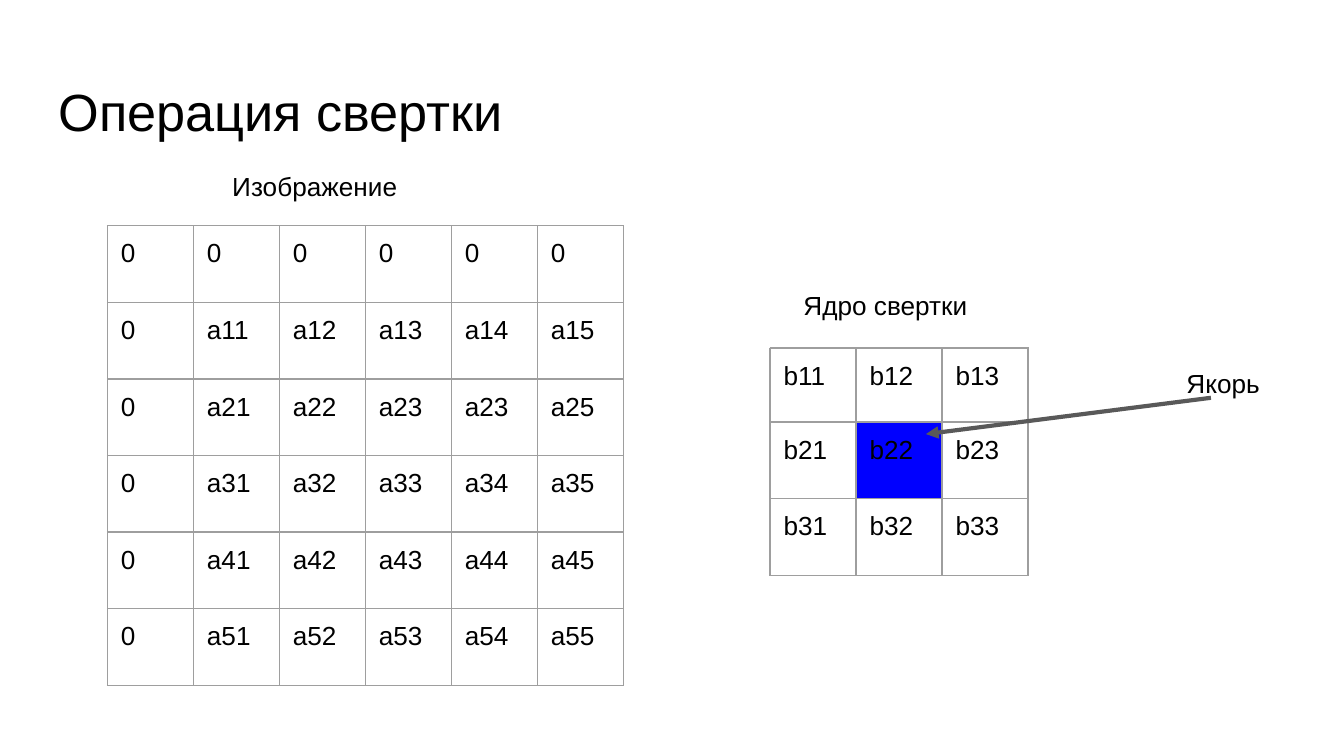
"""Build a slide that shows an image matrix and a convolution kernel with its anchor."""
from dataclasses import dataclass

from lxml import etree
from pptx import Presentation
from pptx.dml.color import RGBColor
from pptx.enum.shapes import MSO_CONNECTOR
from pptx.oxml.ns import qn
from pptx.util import Inches, Pt

STRAIGHT = MSO_CONNECTOR.STRAIGHT
BORDER_TAGS = ("a:lnL", "a:lnR", "a:lnT", "a:lnB")


@dataclass(frozen=True)
class Theme:
    font: str = "Arial"
    text: str = "000000"
    border: str = "9E9E9E"
    anchor: str = "0000FF"
    arrow: str = "595959"
    title_size: float = 28
    body_size: float = 14
    border_width: float = 0.75
    arrow_width: float = 2.25
    inset: float = 0.1


@dataclass(frozen=True)
class Label:
    text: str
    left: float
    top: float
    width: float
    height: float
    size: float


@dataclass(frozen=True)
class Matrix:
    left: float
    top: float
    column_width: float
    row_heights: tuple[float, ...]
    rows: tuple[str, ...]
    anchor: tuple[int, int] | None = None


THEME = Theme()

LABELS = (
    Label("Операция свертки", 0.34, 0.49, 9.32, 0.63, THEME.title_size),
    Label("Изображение", 1.63, 1.17, 1.63, 0.46, THEME.body_size),
    Label("Ядро свертки", 5.88, 2.05, 1.63, 0.46, THEME.body_size),
    Label("Якорь", 8.73, 2.63, 1.03, 0.51, THEME.body_size),
)

IMAGE = Matrix(0.8, 1.68, 0.64, (0.57,) * 6, (
    "0 0 0 0 0 0",
    "0 a11 a12 a13 a14 a15",
    "0 a21 a22 a23 a23 a25",
    "0 a31 a32 a33 a34 a35",
    "0 a41 a42 a43 a44 a45",
    "0 a51 a52 a53 a54 a55",
))

KERNEL = Matrix(5.73, 2.59, 0.64, (0.55, 0.57, 0.57), (
    "b11 b12 b13",
    "b21 b22 b23",
    "b31 b32 b33",
), anchor=(1, 1))


def write_text(text_frame, text: str, *, size: float, color: str = THEME.text) -> None:
    paragraph = text_frame.paragraphs[0]
    run = paragraph.add_run()
    run.text = text
    run.font.name = THEME.font
    run.font.size = Pt(size)
    run.font.color.rgb = RGBColor.from_string(color)


def set_insets(container) -> None:
    inset = Inches(THEME.inset)
    container.margin_left = container.margin_right = inset
    container.margin_top = container.margin_bottom = inset


def add_label(slide, label: Label) -> None:
    shape = slide.shapes.add_textbox(
        Inches(label.left), Inches(label.top), Inches(label.width), Inches(label.height))
    shape.text_frame.word_wrap = True
    set_insets(shape.text_frame)
    write_text(shape.text_frame, label.text, size=label.size)


def add_borders(cell) -> None:
    properties = cell._tc.get_or_add_tcPr()
    for index, tag in enumerate(BORDER_TAGS):
        border = etree.Element(qn(tag), w=str(Pt(THEME.border_width)))
        fill = etree.SubElement(border, qn("a:solidFill"))
        etree.SubElement(fill, qn("a:srgbClr"), val=THEME.border)
        properties.insert(index, border)


def add_matrix(slide, matrix: Matrix) -> None:
    values = [row.split() for row in matrix.rows]
    column_count = len(values[0])
    table = slide.shapes.add_table(
        len(values), column_count, Inches(matrix.left), Inches(matrix.top),
        Inches(matrix.column_width * column_count), Inches(sum(matrix.row_heights))).table
    table.first_row = table.horz_banding = False
    for column in table.columns:
        column.width = Inches(matrix.column_width)
    for row, height in zip(table.rows, matrix.row_heights):
        row.height = Inches(height)
    for row_index, row_values in enumerate(values):
        for column_index, value in enumerate(row_values):
            cell = table.cell(row_index, column_index)
            set_insets(cell)
            write_text(cell.text_frame, value, size=THEME.body_size)
            if (row_index, column_index) == matrix.anchor:
                cell.fill.solid()
                cell.fill.fore_color.rgb = RGBColor.from_string(THEME.anchor)
            else:
                cell.fill.background()
            add_borders(cell)


def add_arrow(slide, tip: tuple[float, float], tail: tuple[float, float]) -> None:
    connector = slide.shapes.add_connector(
        STRAIGHT, *(Inches(value) for value in (*tip, *tail)))
    connector.line.color.rgb = RGBColor.from_string(THEME.arrow)
    connector.line.width = Pt(THEME.arrow_width)
    etree.SubElement(connector.line._get_or_add_ln(), qn("a:headEnd"), type="triangle")
    etree.SubElement(connector._element.spPr, qn("a:effectLst"))


def main() -> None:
    presentation = Presentation()
    presentation.slide_width = Inches(10)
    presentation.slide_height = Inches(10 * 9 / 16)
    slide = presentation.slides.add_slide(presentation.slide_layouts[6])
    for matrix in (IMAGE, KERNEL):
        add_matrix(slide, matrix)
    add_arrow(slide, tip=(6.89, 3.23), tail=(9.01, 2.96))
    for label in LABELS:
        add_label(slide, label)
    presentation.save("out.pptx")


if __name__ == "__main__":
    main()
